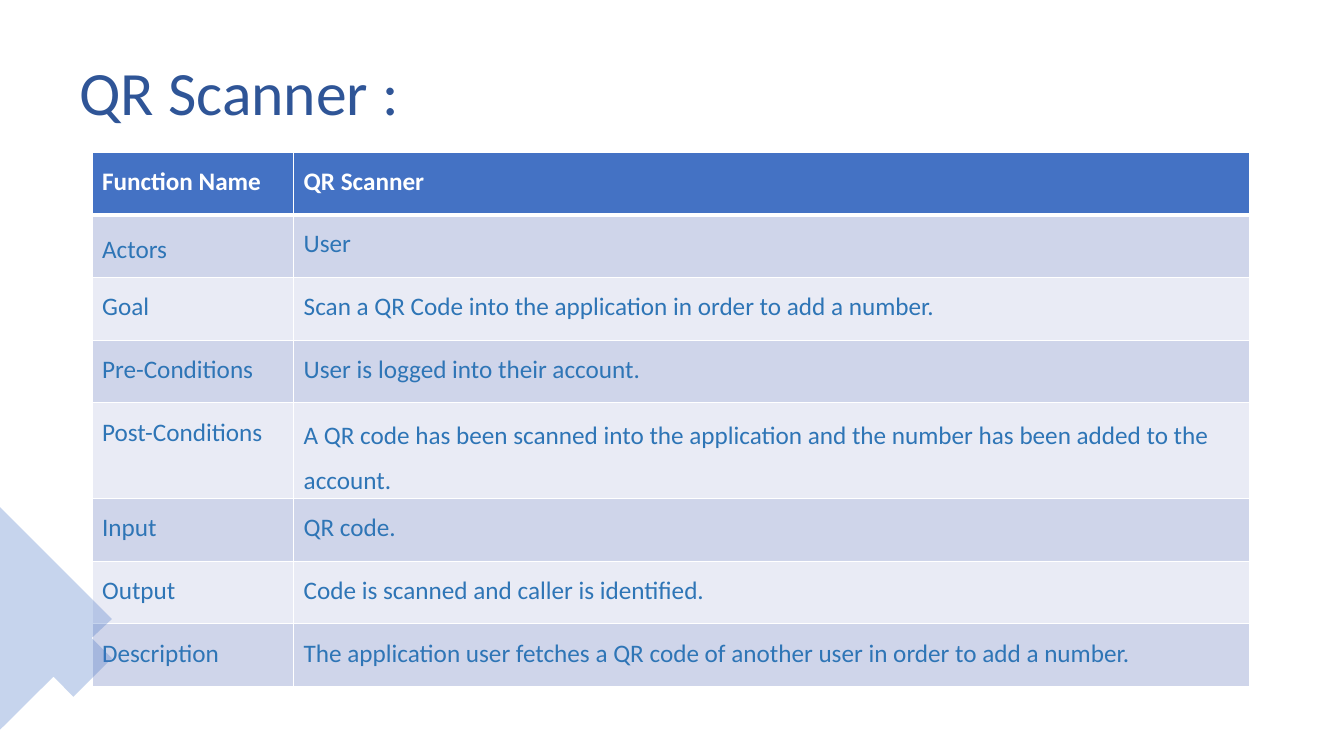
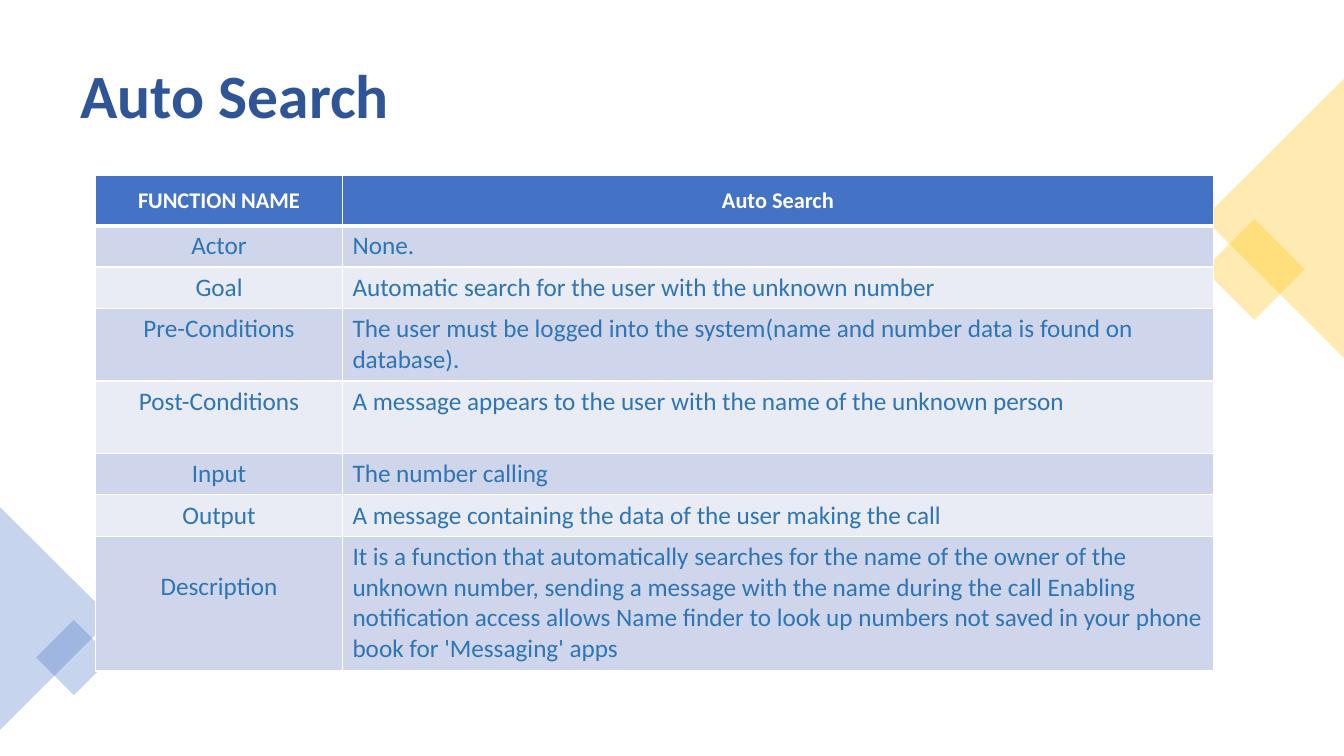
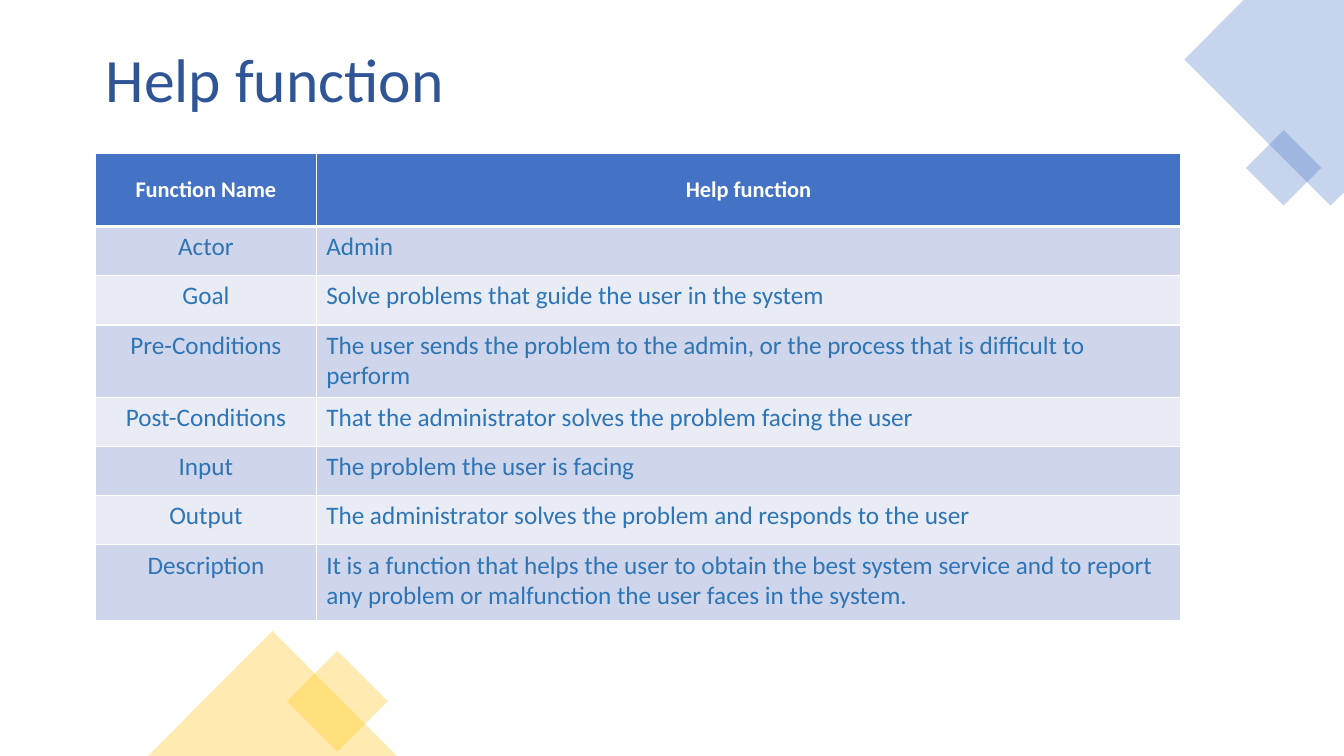
from pptx import Presentation
from pptx import util as u
from pptx.dml import color
from pptx.enum import shapes, text
from pptx.oxml import ns
from lxml import etree

WIDTH, HEIGHT = 33.87, 19.05
FONT = "Calibri"
BLUE, YELLOW, WHITE = "4472C4", "FFC000", "FFFFFF"
TITLE_BLUE, TEXT_BLUE = "2F5597", "2E75B6"
BANDS = ("E9EBF5", "CFD5EA")

LABELS = ["Goal", "Pre-Conditions", "Post-Conditions", "Input", "Output", "Description"]

QR_SCANNER = [
    "QR Scanner",
    "User",
    "Scan a QR Code into the application in order to add a number.",
    "User is logged into their account.",
    "A QR code has been scanned into the application and the number has been added to the account.",
    "QR code.",
    "Code is scanned and caller is identified.",
    "The application user fetches a QR code of another user in order to add a number.",
]
AUTO_SEARCH = [
    "Auto Search",
    "None.",
    "Automatic search for the user with the unknown number",
    "The user must be logged into the system(name and number data is found on database).",
    "A message appears to the user with the name of the unknown person",
    "The number calling",
    "A message containing the data of the user making the call",
    "It is a function that automatically searches for the name of the owner of the unknown number, "
    "sending a message with the name during the call Enabling notification access allows "
    "Name finder to look up numbers not saved in your phone book for 'Messaging' apps",
]
HELP_FUNCTION = [
    "Help function",
    "Admin",
    "Solve problems that guide the user in the system",
    "The user sends the problem to the admin, or the process that is difficult to perform",
    "That the administrator solves the problem facing the user",
    "The problem the user is facing",
    "The administrator solves the problem and responds to the user",
    "It is a function that helps the user to obtain the best system service and to report "
    "any problem or malfunction the user faces in the system.",
]


def paint(fill, hex_color):
    """Give a fill one solid colour."""
    fill.solid()
    fill.fore_color.rgb = color.RGBColor.from_string(hex_color)


def style_font(font, size, hex_color, bold=False):
    """Set the face, size, colour and weight of a font."""
    font.name, font.size, font.bold = FONT, u.Pt(size), bold
    font.color.rgb = color.RGBColor.from_string(hex_color)


def add_title(page, wording, box, bold=False):
    """Place the page title in its placeholder."""
    title = page.shapes.title
    title.left, title.top, title.width, title.height = map(u.Cm, box)
    frame = title.text_frame
    frame.text = wording
    frame.word_wrap = True
    frame.auto_size = text.MSO_AUTO_SIZE.NONE
    frame.vertical_anchor = text.MSO_ANCHOR.MIDDLE
    para = frame.paragraphs[0]
    para.alignment = text.PP_ALIGN.LEFT
    style_font(para.font, 44, TITLE_BLUE, bold)


def make_translucent(shape, hex_color):
    """Fill a decoration at 30 percent opacity, without line or shadow."""
    shape.shadow.inherit = False
    shape.line.fill.background()
    paint(shape.fill, hex_color)
    tint = shape.fill._xPr.find(".//" + ns.qn("a:srgbClr"))
    etree.SubElement(tint, ns.qn("a:alpha"), val="30000")


def add_diamond(page, left, top, size, hex_color):
    """Draw a small translucent diamond."""
    diamond = page.shapes.add_shape(
        shapes.MSO_SHAPE.DIAMOND, *map(u.Cm, (left, top, size, size)))
    make_translucent(diamond, hex_color)


def add_triangle(page, box, hex_color, rotation=0):
    """Draw a translucent triangle that fills the box once rotated."""
    left, top, width, height = box
    if rotation in (90, 270):
        shift = (width - height) / 2
        left, top, width, height = left + shift, top - shift, height, width
    triangle = page.shapes.add_shape(
        shapes.MSO_SHAPE.ISOSCELES_TRIANGLE, *map(u.Cm, (left, top, width, height)))
    triangle.rotation = rotation
    make_translucent(triangle, hex_color)


def add_outline(page, left, top, points, hex_color):
    """Draw a translucent polygon from points relative to a corner."""
    corners = [(u.Cm(left + x), u.Cm(top + y)) for x, y in points]
    builder = page.shapes.build_freeform(*corners[0])
    builder.add_line_segments(corners[1:], close=True)
    make_translucent(builder.convert_to_shape(), hex_color)


def add_borders(cell, top, bottom):
    """Draw white cell borders, with the top and bottom widths in points."""
    properties = cell._tc.get_or_add_tcPr()
    for side, points in (("L", 1), ("R", 1), ("T", top), ("B", bottom)):
        line = etree.SubElement(properties, ns.qn("a:ln" + side), w=str(u.Pt(points)))
        fill = etree.SubElement(line, ns.qn("a:solidFill"))
        etree.SubElement(fill, ns.qn("a:srgbClr"), val=WHITE)


def add_function_table(page, left, top, columns, heights, labels, values,
                       header_size=16, centred=True, margins=(0.13, 0.13)):
    """Place the table that describes one function and return it."""
    frame = page.shapes.add_table(
        len(heights), len(columns),
        *map(u.Cm, (left, top, sum(columns), sum(heights))))
    table = frame.table
    for column, width in zip(table.columns, columns):
        column.width = u.Cm(width)
    for index, (height, entries) in enumerate(zip(heights, zip(labels, values))):
        table.rows[index].height = u.Cm(height)
        header = index == 0
        for side, wording in enumerate(entries):
            cell = table.cell(index, side)
            add_borders(cell, 3 if index == 1 else 1, 3 if header else 1)
            paint(cell.fill, BLUE if header else BANDS[index % 2])
            cell.margin_top, cell.margin_bottom = map(u.Cm, margins)
            cell.text = wording
            para = cell.text_frame.paragraphs[0]
            if centred and header:
                cell.vertical_anchor = text.MSO_ANCHOR.MIDDLE
            if centred and (header or side == 0):
                para.alignment = text.PP_ALIGN.CENTER
            style_font(para.font, header_size if header else 18,
                       WHITE if header else TEXT_BLUE, header)
    return table


def build_qr_scanner(page):
    """Build the page on the QR scanner."""
    add_title(page, "QR Scanner :", (1.75, 1.1, 14.75, 2.4))
    heights = [1.58] * 4 + [2.41] + [1.58] * 3
    table = add_function_table(
        page, 2.32, 3.83, (5.08, 24.1), heights,
        ["Function Name", "Actors"] + LABELS, QR_SCANNER,
        header_size=18, centred=False, margins=(0.36, 0))
    table.cell(1, 0).margin_top = u.Cm(0.5)
    post_condition = table.cell(4, 1)
    post_condition.margin_top = u.Cm(0.08)
    post_condition.text_frame.paragraphs[0].line_spacing = u.Pt(32.4)
    add_outline(page, 0, 12.78, [
        (2.82, 2.82), (0, 0), (0, 5.61), (1.35, 4.27),
        (1.85, 4.78), (2.82, 3.81), (2.31, 3.3)], BLUE)


def build_auto_search(page):
    """Build the page on the automatic search."""
    add_title(page, "Auto Search", (1.78, 0.8, 30.3, 3.12), bold=True)
    add_diamond(page, 30.34, 5.52, 2.54, YELLOW)
    add_triangle(page, (30.34, 1.98, 3.53, 7.04), YELLOW, 270)
    add_triangle(page, (0, 12.78, 2.82, 5.61), BLUE, 90)
    add_diamond(page, 0.91, 15.62, 1.9, BLUE)
    heights = [1.27, 1.04, 1.04, 1.83, 1.83, 1.04, 1.04, 3.4]
    table = add_function_table(
        page, 2.41, 4.42, (6.22, 21.95), heights,
        ["FUNCTION NAME", "Actor"] + LABELS, AUTO_SEARCH)
    table.cell(7, 0).margin_top = u.Cm(0.9)


def build_help_function(page):
    """Build the page on the help function."""
    add_title(page, "Help function", (2.41, 0.89, 16.95, 2.13))
    add_outline(page, 29.85, 0, [
        (4.02, 0), (1.49, 0), (0, 1.5), (3.68, 5.18), (4.02, 4.85)], BLUE)
    add_diamond(page, 31.4, 3.28, 1.9, BLUE)
    add_diamond(page, 7.23, 16.4, 2.54, YELLOW)
    add_triangle(page, (3.73, 15.9, 6.27, 3.15), YELLOW)
    heights = [1.85, 1.24, 1.24, 1.82, 1.24, 1.24, 1.24, 1.9]
    add_function_table(
        page, 2.41, 3.86, (5.56, 21.79), heights,
        ["Function Name", "Actor"] + LABELS, HELP_FUNCTION)


def main():
    """Build the deck and save it."""
    deck = Presentation()
    deck.slide_width, deck.slide_height = u.Cm(WIDTH), u.Cm(HEIGHT)
    for build in (build_qr_scanner, build_auto_search, build_help_function):
        build(deck.slides.add_slide(deck.slide_layouts[5]))
    deck.save("out.pptx")


if __name__ == "__main__":
    main()
